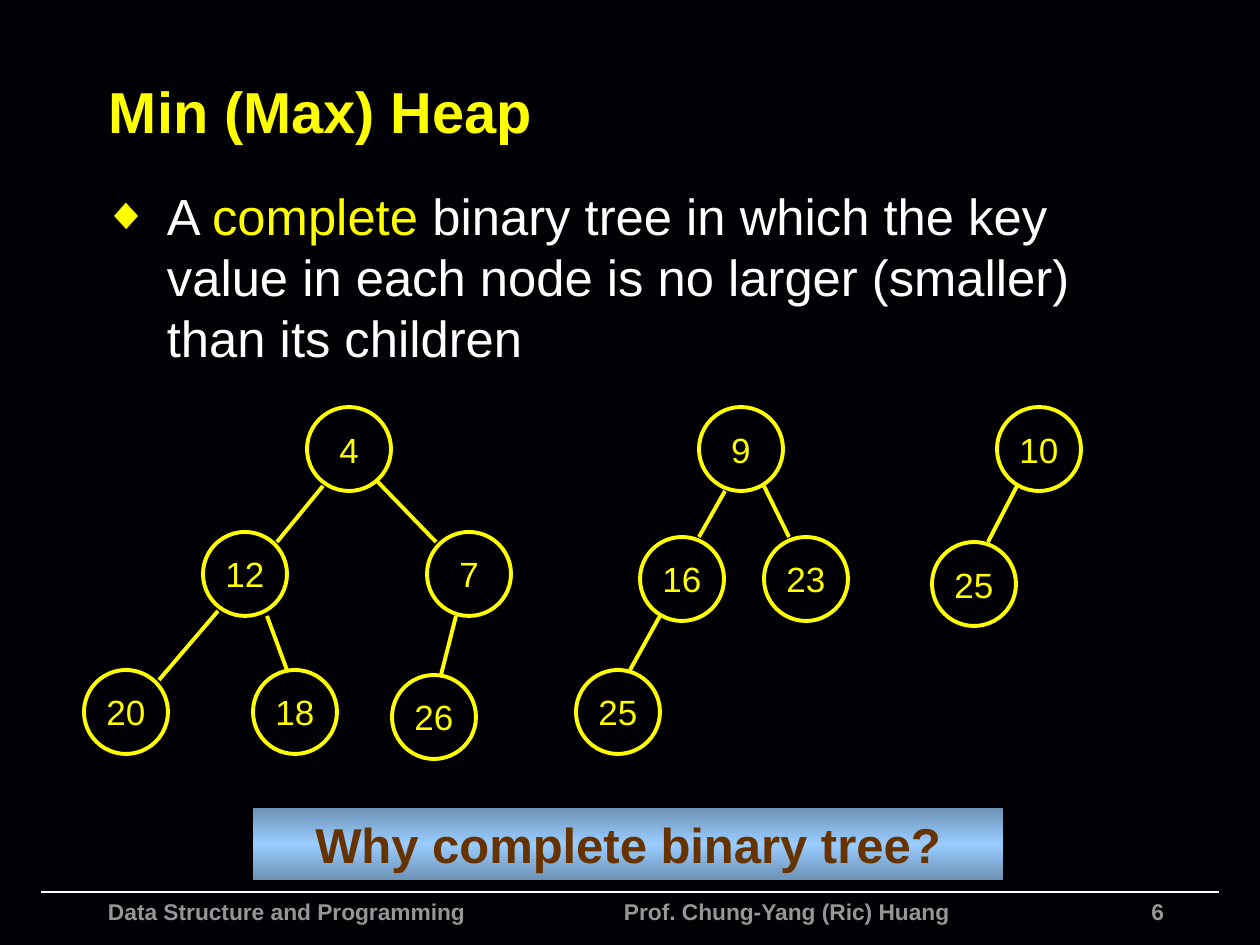
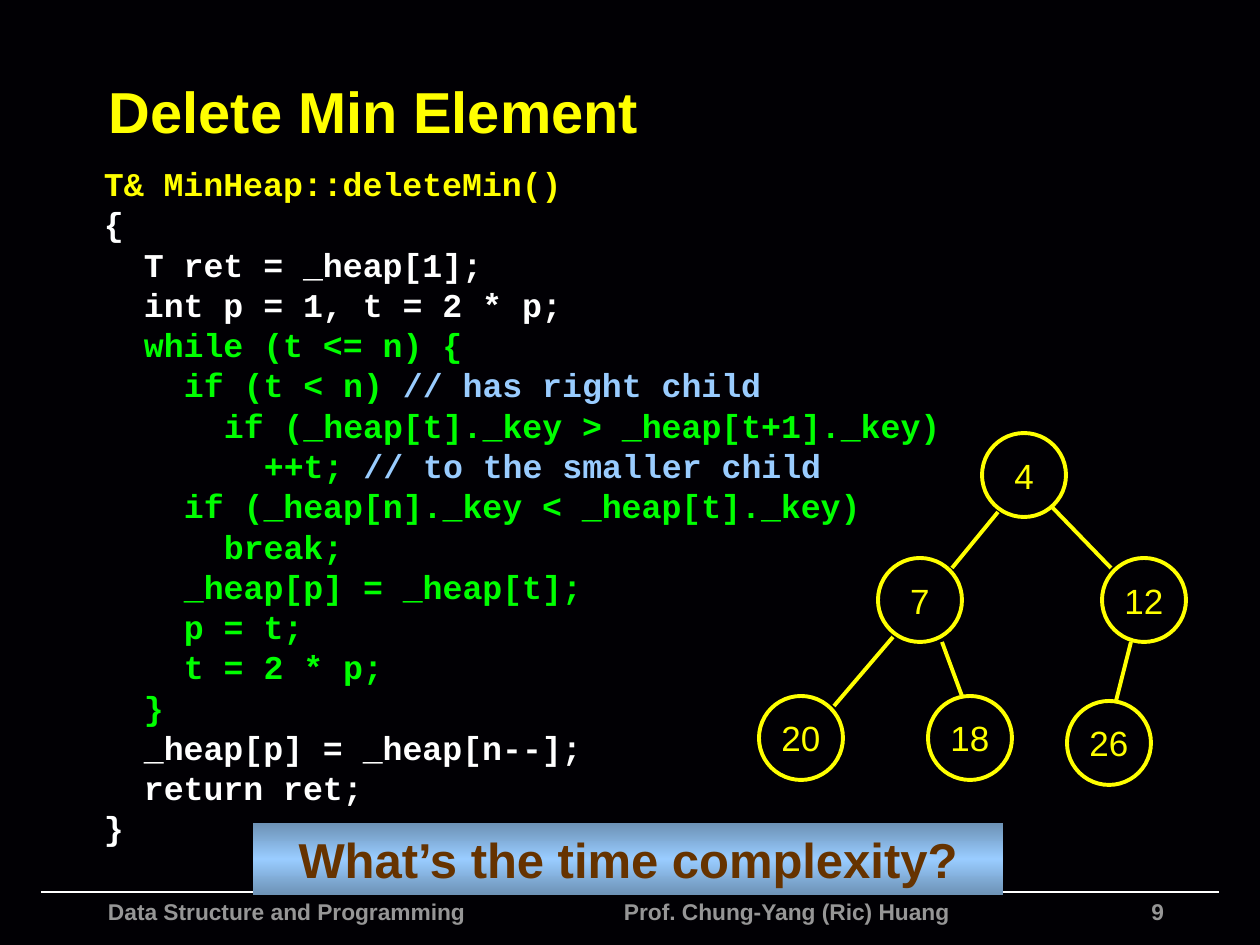
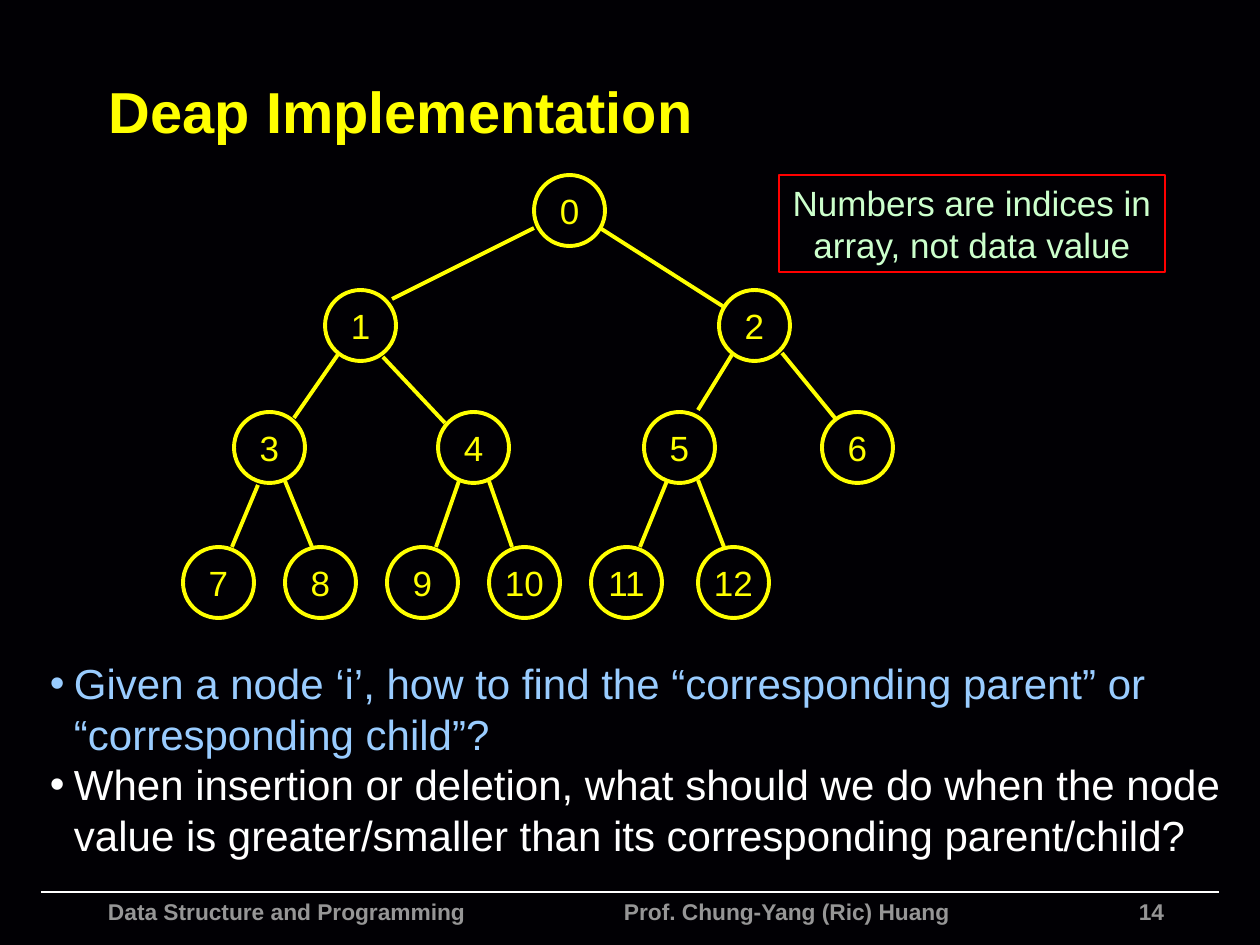
import copy
import dataclasses

import pptx
import pptx.dml.color
import pptx.enum.shapes
import pptx.enum.text
import pptx.oxml.ns
import pptx.oxml.xmlchemy
import pptx.util
from lxml import etree

SCALE = 914400 / 126
ALIGN = pptx.enum.text.PP_ALIGN
ANCHOR = pptx.enum.text.MSO_ANCHOR
SHAPE = pptx.enum.shapes.MSO_SHAPE
qn = pptx.oxml.ns.qn


@dataclasses.dataclass(frozen=True)
class Theme:
    back: str = "010004"
    main: str = "FFFF00"
    text: str = "FFFFFF"
    foot: str = "969696"
    sky: str = "99CCFF"
    steel: str = "6D92B6"
    brown: str = "663300"
    loop: str = "00FF00"
    mint: str = "CCFFCC"
    red: str = "FF0000"
    sans: str = "Arial"
    mono: str = "Courier New"
    title_size: int = 33
    body_size: int = 29
    ask_size: int = 28
    list_size: int = 24
    node_size: int = 20
    code_size: int = 19
    foot_size: int = 13
    edge: float = 2.25


T = Theme()

# Each tree holds a node size, the node corners and the edges, relative to its box.
WIDE = (
    84,
    [(223, 0), (119, 125), (343, 125), (0, 263), (169, 263), (308, 268)],
    [(239, 79, 193, 135), (134, 204, 75, 273), (293, 74, 352, 135),
     (183, 209, 203, 263), (372, 209, 357, 268)],
)
SMALL = (
    84,
    [(123, 0), (64, 130), (188, 130), (0, 263)],
    [(149, 84, 123, 130), (84, 209, 54, 263), (188, 79, 213, 130)],
)
PAIR = (84, [(65, 0), (0, 135)], [(85, 79, 56, 135)])
DEAP = (
    71,
    [(351, 0), (142, 115), (536, 115), (51, 237), (255, 237), (461, 237), (639, 237)]
    + [(102 * i, 372) for i in range(5)] + [(515, 372)],
    [(351, 53, 209, 124), (417, 53, 541, 132),
     (156, 178, 111, 243), (200, 182, 262, 248),
     (550, 178, 515, 235), (599, 178, 652, 243),
     (75, 310, 49, 372), (102, 306, 129, 372),
     (276, 306, 253, 372), (306, 306, 329, 372),
     (484, 306, 457, 372), (515, 305, 541, 372)],
)

CODE = """\
T& MinHeap::deleteMin()
{
  T ret = _heap[1];
  int p = 1, t = 2 * p;
  while (t <= n) {
    if (t < n) // has right child
      if (_heap[t]._key > _heap[t+1]._key)
        ++t; // to the smaller child
    if (_heap[n]._key < _heap[t]._key)
      break;
    _heap[p] = _heap[t];
    p = t;
    t = 2 * p;
  }
  _heap[p] = _heap[n--];
  return ret;
}"""
LOOP = range(4, 14)


def px(*values):
    return [round(v * SCALE) for v in values]


def rgb(code):
    return pptx.dml.color.RGBColor.from_string(code)


def style(para, size, color, bold=False, face=T.sans, align=ALIGN.LEFT):
    font = para.font
    font.size, font.bold, font.name = pptx.util.Pt(size), bold, face
    font.color.rgb = rgb(color)
    para.alignment = align


def setup(frame, side=13, end=6, anchor=ANCHOR.TOP, wrap=True):
    """Set the margins, anchor and wrapping of a text frame."""
    frame.margin_left = frame.margin_right = px(side)[0]
    frame.margin_top = frame.margin_bottom = px(end)[0]
    frame.vertical_anchor, frame.word_wrap = anchor, wrap
    return frame


def label(slide, box, text, *look, **more):
    frame = setup(slide.shapes.add_textbox(*px(*box)).text_frame)
    frame.text = text
    style(frame.paragraphs[0], *look, **more)


def indent(para, left, first=0):
    props = para._p.get_or_add_pPr()
    props.set("marL", str(px(left)[0]))
    props.set("indent", str(px(first)[0]))


def bullet(para, char, hang, color=None, size=100):
    indent(para, hang, -hang)
    props = para._p.get_or_add_pPr()
    parts = []
    if color:
        parts.append(etree.Element(qn("a:buClr")))
        etree.SubElement(parts[0], qn("a:srgbClr"), val=color)
    parts += [
        etree.Element(qn("a:buSzPct"), val=str(size * 1000)),
        etree.Element(qn("a:buFont"), typeface=T.sans),
        etree.Element(qn("a:buChar"), char=char),
    ]
    spot = props.find(qn("a:defRPr"))
    for part in parts:
        if spot is None:
            props.append(part)
        else:
            spot.addprevious(part)


def rule(shapes, ends, color, width):
    kind = pptx.enum.shapes.MSO_CONNECTOR.STRAIGHT
    line = shapes.add_connector(kind, *px(*ends))
    line.line.color.rgb, line.line.width = rgb(color), pptx.util.Pt(width)
    etree.SubElement(line._element.spPr, qn("a:effectLst"))


def outline(shapes, kind, box, color, width):
    shape = shapes.add_shape(kind, *px(*box))
    shape.shadow.inherit = False
    shape.fill.background()
    shape.line.color.rgb, shape.line.width = rgb(color), pptx.util.Pt(width)
    return shape


def tree(shapes, left, top, plan, names):
    size, nodes, edges = plan
    for (x, y), name in zip(nodes, names):
        node = outline(shapes, SHAPE.OVAL, (left + x, top + y, size, size), T.main, T.edge)
        frame = setup(node.text_frame, 6, 6, ANCHOR.MIDDLE, False)
        frame.text = str(name)
        style(frame.paragraphs[0], T.node_size, T.main, align=ALIGN.CENTER)
    for x1, y1, x2, y2 in edges:
        rule(shapes, (left + x1, top + y1, left + x2, top + y2), T.main, T.edge)


def ask(slide, top, text):
    """Add the question band with its mirrored gradient."""
    band = slide.shapes.add_shape(SHAPE.RECTANGLE, *px(253, top, 750, 72))
    band.shadow.inherit = False
    band.line.fill.background()
    band.fill.gradient()
    band.fill.gradient_angle = 90
    dark, light = band.fill.gradient_stops
    dark.color.rgb, light.color.rgb = rgb(T.steel), rgb(T.sky)
    dark.position, light.position = 0, 0.5
    stops = band._element.spPr.find(".//" + qn("a:gsLst"))
    last = copy.deepcopy(stops[0])
    last.set("pos", "100000")
    stops.append(last)
    frame = setup(band.text_frame, 6)
    frame.text = text
    style(frame.paragraphs[0], T.ask_size, T.brown, True, align=ALIGN.CENTER)


def start(deck, title, page):
    """Add a slide with its title, footer rule and footer."""
    slide = deck.slides.add_slide(deck.slide_layouts.get_by_name("Title Only"))
    head = slide.shapes.title
    head.left, head.top, head.width, head.height = px(96, 47, 1114, 127)
    frame = setup(head.text_frame, anchor=ANCHOR.MIDDLE)
    frame.text = title
    style(frame.paragraphs[0], T.title_size, T.main, True)
    rule(slide.shapes, (41, 892, 1219, 892), T.text, 1)
    for left, width, text, align in (
        (95, 500, "Data Structure and Programming", ALIGN.LEFT),
        (611, 440, "Prof. Chung-Yang (Ric) Huang", ALIGN.LEFT),
        (1077, 100, str(page), ALIGN.RIGHT),
    ):
        label(slide, (left, 892, width, 40), text, T.foot_size, T.foot, True, align=align)
    return slide


def heap(deck):
    slide = start(deck, "Min (Max) Heap", 6)
    frame = setup(slide.shapes.add_textbox(*px(91, 179, 1071, 220)).text_frame)
    para = frame.paragraphs[0]
    style(para, T.body_size, T.text)
    para.space_before = pptx.util.Pt(6)
    para.add_run().text = "A "
    key = para.add_run()
    key.text, key.font.color.rgb = "complete", rgb(T.main)
    para.add_run().text = (
        " binary tree in which the key value in each node"
        " is no larger (smaller) than its children"
    )
    bullet(para, "◆", 63, T.main, 90)
    tree(slide.shapes, 84, 407, WIDE, (4, 12, 7, 20, 18, 26))
    tree(slide.shapes, 576, 407, SMALL, (9, 16, 23, 25))
    tree(slide.shapes, 932, 407, PAIR, (10, 25))
    ask(slide, 808, "Why complete binary tree?")


def listing(slide, box):
    frame = setup(slide.shapes.add_textbox(*px(*box)).text_frame)
    for i, line in enumerate(CODE.splitlines()):
        para = frame.paragraphs[0] if i == 0 else frame.add_paragraph()
        color = T.main if i == 0 else T.loop if i in LOOP else T.text
        style(para, T.code_size, color, True, T.mono)
        para.line_spacing, para.space_before = 0.8, pptx.util.Pt(4.8)
        text = line.lstrip()
        indent(para, 20 * (len(line) - len(text)))
        code, mark, note = text.partition("//")
        para.add_run().text = code
        if mark:
            run = para.add_run()
            run.text, run.font.color.rgb = mark + note, rgb(T.sky)


def delete(deck):
    slide = start(deck, "Delete Min Element", 9)
    listing(slide, (91, 165, 1071, 696))
    tree(slide.shapes, 759, 433, WIDE, (4, 7, 12, 20, 18, 26))
    ask(slide, 823, "What’s the time complexity?")


def deap(deck):
    slide = start(deck, "Deap Implementation", 14)
    frame = setup(slide.shapes.add_textbox(*px(44, 652, 1196, 217)).text_frame, 6)
    frame.text = (
        "Given a node ‘i’, how to find the “corresponding parent” or “corresponding child”?\n"
        "When insertion or deletion, what should we do when the node value"
        " is greater/smaller than its corresponding parent/child?"
    )
    for para, color in zip(frame.paragraphs, (T.sky, T.text)):
        style(para, T.list_size, color)
        bullet(para, "•", 24)
    tree(slide.shapes.add_group_shape().shapes, 183, 175, DEAP, range(13))
    note = outline(slide.shapes, SHAPE.RECTANGLE, (779, 175, 386, 97), T.red, 0.75)
    frame = setup(note.text_frame)
    frame.text = "Numbers are indices in array, not data value"
    style(frame.paragraphs[0], T.node_size, T.mint, align=ALIGN.CENTER)


def main():
    deck = pptx.Presentation()
    deck.slide_width, deck.slide_height = px(1260, 945)
    fill = deck.slide_master.background.fill
    fill.solid()
    fill.fore_color.rgb = rgb(T.back)
    for build in (heap, delete, deap):
        build(deck)
    deck.save("out.pptx")


if __name__ == "__main__":
    main()
